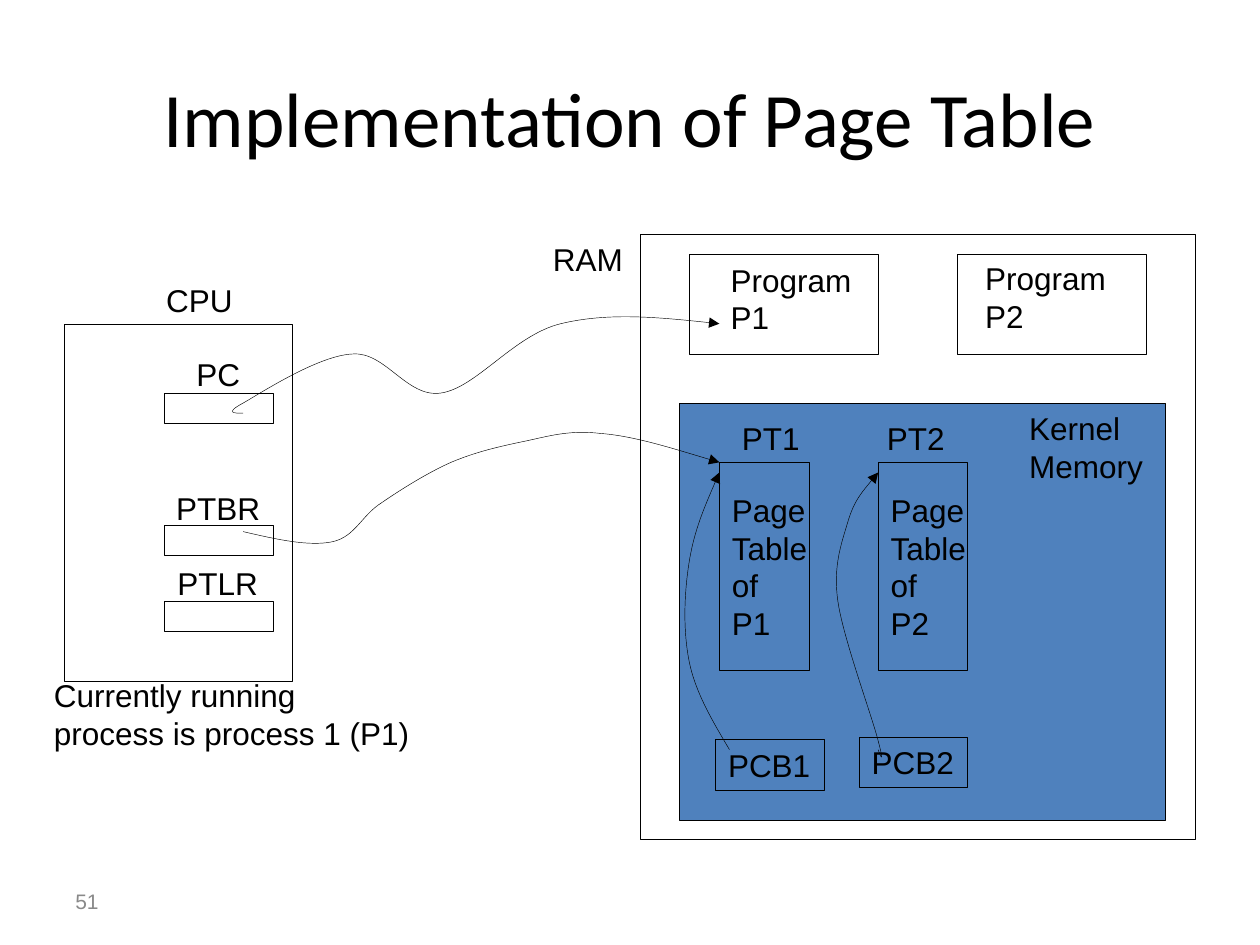
from dataclasses import dataclass

from lxml import etree
from pptx import Presentation
from pptx.dml.color import RGBColor
from pptx.enum.shapes import MSO_SHAPE
from pptx.enum.text import MSO_ANCHOR, MSO_AUTO_SIZE, PP_ALIGN
from pptx.oxml.ns import qn
from pptx.util import Inches, Pt

RECTANGLE = MSO_SHAPE.RECTANGLE
TOP, MIDDLE = MSO_ANCHOR.TOP, MSO_ANCHOR.MIDDLE
LEFT, CENTER = PP_ALIGN.LEFT, PP_ALIGN.CENTER
FIT_SHAPE, NO_FIT = MSO_AUTO_SIZE.SHAPE_TO_FIT_TEXT, MSO_AUTO_SIZE.NONE

COLUMNS, ROWS = 100, 75
SLIDE_WIDTH, SLIDE_HEIGHT = Inches(10), Inches(7.5)
BLACK, GREY, KERNEL_BLUE = "000000", "898989", "4F81BD"


@dataclass(frozen=True)
class Area:
    col: float
    row: float
    cols: float
    rows: float

    def emu(self) -> tuple[int, int, int, int]:
        return (across(self.col), down(self.row),
                across(self.cols), down(self.rows))


@dataclass(frozen=True)
class Block:
    area: Area
    text: str = ""
    fill: str = ""
    grows: bool = False


@dataclass(frozen=True)
class Label:
    text: str
    area: Area


@dataclass(frozen=True)
class Register:
    row: float
    label: Label


@dataclass(frozen=True)
class Pointer:
    start: tuple[float, float]
    controls: list[tuple[float, float]]


def across(columns: float) -> int:
    return round(SLIDE_WIDTH * columns / COLUMNS)


def down(rows: float) -> int:
    return round(SLIDE_HEIGHT * rows / ROWS)


def color(hex_value: str) -> RGBColor:
    return RGBColor.from_string(hex_value)


def write(frame, text: str, size: float = 18, hex_value: str = BLACK,
          anchor=TOP, align=LEFT, font: str = "Arial") -> None:
    frame.text = text
    frame.vertical_anchor = anchor
    for paragraph in frame.paragraphs:
        paragraph.alignment = align
        for run in paragraph.runs:
            run.font.size = Pt(size)
            run.font.name = font
            run.font.color.rgb = color(hex_value)


def outline(shape) -> None:
    shape.shadow.inherit = False
    shape.line.color.rgb = color(BLACK)
    shape.line.width = Pt(0.25)


def draw_block(slide, block: Block) -> None:
    shape = slide.shapes.add_shape(RECTANGLE, *block.area.emu())
    outline(shape)
    if block.fill:
        shape.fill.solid()
        shape.fill.fore_color.rgb = color(block.fill)
    else:
        shape.fill.background()
    if block.text:
        shape.text_frame.word_wrap = False
        shape.text_frame.auto_size = FIT_SHAPE if block.grows else NO_FIT
        write(shape.text_frame, block.text, anchor=MIDDLE)


def draw_label(slide, label: Label) -> None:
    frame = slide.shapes.add_textbox(*label.area.emu()).text_frame
    frame.word_wrap = False
    frame.auto_size = FIT_SHAPE
    write(frame, label.text)


def draw_pointer(slide, pointer: Pointer) -> None:
    builder = slide.shapes.build_freeform(across(pointer.start[0]), down(pointer.start[1]))
    builder.add_line_segments([(across(x), down(y)) for x, y in pointer.controls], close=False)
    curve = builder.convert_to_shape()
    outline(curve)
    curve.fill.background()
    segments = list(curve.element.iter(qn("a:lnTo")))
    for first in range(0, len(segments), 3):
        bezier = etree.Element(qn("a:cubicBezTo"))
        segments[first].addprevious(bezier)
        for segment in segments[first:first + 3]:
            bezier.append(segment[0])
            segment.getparent().remove(segment)
    stroke = next(curve.element.iter(qn("a:ln")))
    etree.SubElement(stroke, qn("a:tailEnd"), type="triangle")


REGISTERS = [
    Register(41.7, Label("PTBR", Area(13, 38.3, 8.8, 4))),
    Register(47.7, Label("PTLR", Area(13.1, 44.3, 8.5, 4))),
    Register(31.2, Label("PC", Area(14.6, 27.7, 5.6, 4))),
]
PAGE_TABLES = [Block(Area(57.1 + 12.6 * i, 36.7, 7.1, 16.5), f"Page\nTable\nof\nP{i + 1}")
               for i in range(2)]
PROGRAMS = [Block(Area(54.7 + 21.3 * i, 20.2, 15, 7.9)) for i in range(2)]
BLOCKS = [
    Block(Area(53.9, 32, 38.6, 33.1), fill=KERNEL_BLUE),
    Block(Area(50.8, 18.6, 44.1, 48)),
    *PAGE_TABLES,
    Block(Area(56.8, 58.7, 8.6, 4), "PCB1", grows=True),
    Block(Area(68.2, 58.5, 8.6, 4), "PCB2", grows=True),
    Block(Area(5.1, 25.7, 18.1, 28.4)),
    *[Block(Area(13, register.row, 8.7, 2.4)) for register in REGISTERS],
    *PROGRAMS,
]
LABELS = [
    *[Label(f"PT{i + 1}", Area(57.9 + 11.5 * i, 32.8, 6.7, 4)) for i in range(2)],
    Label("Kernel\vMemory", Area(80.7, 32, 11.1, 7)),
    Label("RAM", Area(42.9, 18.6, 7.7, 4)),
    Label("CPU", Area(12.2, 21.8, 7.4, 4)),
    *[register.label for register in REGISTERS],
    Label("Program\vP1", Area(57, 20.2, 12.3, 7)),
    Label("Program\nP2", Area(77.2, 20.1, 12.3, 7)),
    Label("Currently running\nprocess is process 1 (P1)", Area(3.3, 53.2, 30.3, 7)),
]
POINTERS = [
    Pointer((19.3, 32.8), [
        (18.6, 32.8), (17.8, 32.8), (19.3, 32), (20.7, 31.2), (25.3, 28.2), (28, 28.1),
        (30.6, 27.9), (32.3, 31.6), (35, 31.2), (37.8, 30.8), (40.8, 26.6), (44.5, 25.7),
        (48.2, 24.8), (52.6, 25.2), (57.1, 25.7)]),
    Pointer((19.3, 42.2), [
        (21.9, 42.8), (24.5, 43.4), (26.4, 43), (28.2, 42.6), (28.7, 40.9), (30.3, 39.9),
        (31.9, 38.8), (34, 37.5), (35.8, 36.7), (37.7, 35.9), (39.4, 35.5), (41.3, 35.1),
        (43.3, 34.7), (45, 34.1), (47.6, 34.4), (50.3, 34.6), (53.7, 35.7), (57.1, 36.7)]),
    Pointer((57.9, 59.5), [
        (56.6, 57.3), (55.2, 55), (54.7, 52.5), (54.2, 50), (54.3, 47.1), (54.7, 44.6),
        (55.1, 42.1), (56.1, 39.8), (57.1, 37.5)]),
    Pointer((69.7, 59.5), [
        (69.9, 60.1), (70.2, 60.7), (69.7, 58.8), (69.2, 56.8), (66.9, 50.6), (66.5, 47.7),
        (66.1, 44.9), (66.8, 43.1), (67.3, 41.4), (67.8, 39.7), (68.8, 38.6), (69.7, 37.5)]),
]


def main() -> None:
    deck = Presentation()
    deck.slide_width, deck.slide_height = SLIDE_WIDTH, SLIDE_HEIGHT
    slide = deck.slides.add_slide(deck.slide_layouts[5])

    title = slide.shapes.title
    title.left, title.top, title.width, title.height = Area(5, 3, 90, 12.5).emu()
    write(title.text_frame, "Implementation of Page Table", 44,
          anchor=MIDDLE, align=CENTER, font="Calibri")

    page_number = slide.shapes.add_textbox(*Area(5, 69.5, 23.3, 4).emu()).text_frame
    page_number.word_wrap = True
    write(page_number, "51", 12, GREY, MIDDLE)

    for block in BLOCKS:
        draw_block(slide, block)
    for label in LABELS:
        draw_label(slide, label)
    for pointer in POINTERS:
        draw_pointer(slide, pointer)

    deck.save("out.pptx")


if __name__ == "__main__":
    main()
